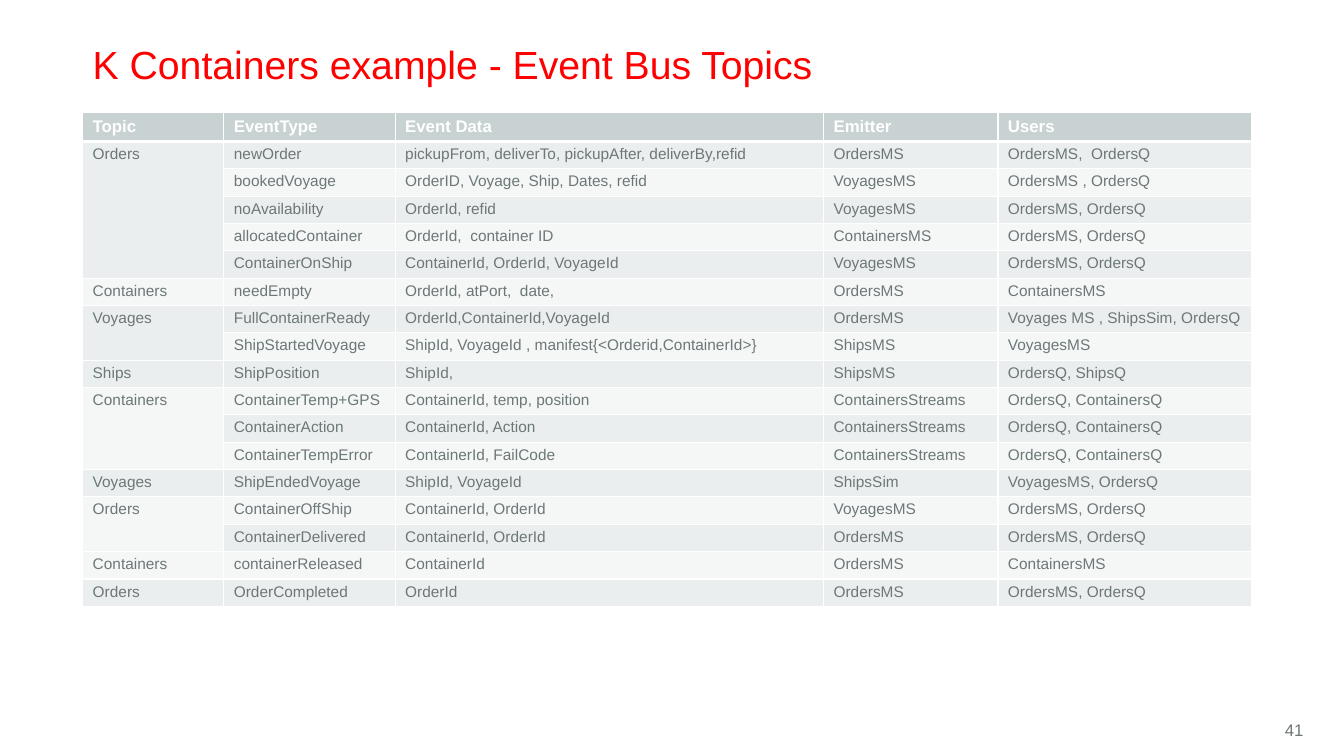
"""Build the event bus topics slide for the K Containers example."""
import pptx
import pptx.dml.color
import pptx.enum.text
import pptx.oxml
import pptx.oxml.ns
import pptx.util

Pt = pptx.util.Pt
ALIGN = pptx.enum.text.PP_ALIGN
ANCHOR = pptx.enum.text.MSO_ANCHOR

HEADINGS = ["Topic", "EventType", "Event Data", "Emitter", "Users"]
COLUMN_WIDTHS = [100.8, 122.4, 306, 124.56, 181.44]
TOPICS = [
    ("Orders", [
        ("newOrder", "pickupFrom, deliverTo, pickupAfter, deliverBy,refid", "OrdersMS", "OrdersMS,  OrdersQ"),
        ("bookedVoyage", "OrderID, Voyage, Ship, Dates, refid", "VoyagesMS", "OrdersMS , OrdersQ"),
        ("noAvailability", "OrderId, refid", "VoyagesMS", "OrdersMS, OrdersQ"),
        ("allocatedContainer", "OrderId,  container ID", "ContainersMS", "OrdersMS, OrdersQ"),
        ("ContainerOnShip", "ContainerId, OrderId, VoyageId", "VoyagesMS", "OrdersMS, OrdersQ"),
    ]),
    ("Containers", [("needEmpty", "OrderId, atPort,  date,", "OrdersMS", "ContainersMS")]),
    ("Voyages", [
        ("FullContainerReady", "OrderId,ContainerId,VoyageId", "OrdersMS", "Voyages MS , ShipsSim, OrdersQ"),
        ("ShipStartedVoyage", "ShipId, VoyageId , manifest{<Orderid,ContainerId>}", "ShipsMS", "VoyagesMS"),
    ]),
    ("Ships", [("ShipPosition", "ShipId,", "ShipsMS", "OrdersQ, ShipsQ")]),
    ("Containers", [
        ("ContainerTemp+GPS", "ContainerId, temp, position", "ContainersStreams", "OrdersQ, ContainersQ"),
        ("ContainerAction", "ContainerId, Action", "ContainersStreams", "OrdersQ, ContainersQ"),
        ("ContainerTempError", "ContainerId, FailCode", "ContainersStreams", "OrdersQ, ContainersQ"),
    ]),
    ("Voyages", [("ShipEndedVoyage", "ShipId, VoyageId", "ShipsSim", "VoyagesMS, OrdersQ")]),
    ("Orders", [
        ("ContainerOffShip", "ContainerId, OrderId", "VoyagesMS", "OrdersMS, OrdersQ"),
        ("ContainerDelivered", "ContainerId, OrderId", "OrdersMS", "OrdersMS, OrdersQ"),
    ]),
    ("Containers", [("containerReleased", "ContainerId", "OrdersMS", "ContainersMS")]),
    ("Orders", [("OrderCompleted", "OrderId", "OrdersMS", "OrdersMS, OrdersQ")]),
]


def color(value):
    return pptx.dml.color.RGBColor.from_string(value)


class TopicsPage:
    font = "Arial"
    red = "FF0000"
    gray = "6D7777"
    white = "FFFFFF"
    header_fill = "C8D2D2"
    band_fills = ["EBEEEE", "F5F7F7"]
    row_height = 19.55

    def __init__(self, deck):
        self.page = deck.slides.add_slide(deck.slide_layouts[6])

    def format_text(self, frame, size, tint, bold=False):
        for para in frame.paragraphs:
            for span in para.runs:
                span.font.name = self.font
                span.font.size = Pt(size)
                span.font.bold = bold
                span.font.color.rgb = color(tint)

    def text(self, words, bounds, size, tint, anchor, margins, align=ALIGN.LEFT, spacing=1.0):
        box = self.page.shapes.add_textbox(*map(Pt, bounds))
        frame = box.text_frame
        frame.word_wrap = True
        frame.vertical_anchor = anchor
        frame.margin_left, frame.margin_top, frame.margin_right, frame.margin_bottom = map(Pt, margins)
        frame.text = words
        frame.paragraphs[0].alignment = align
        frame.paragraphs[0].line_spacing = spacing
        self.format_text(frame, size, tint, bold=False)

    def borders(self, cell, top, bottom):
        properties = cell._tc.get_or_add_tcPr()
        widths = {"lnL": 1, "lnR": 1, "lnT": top, "lnB": bottom}
        for position, (side, width) in enumerate(widths.items()):
            line = pptx.oxml.parse_xml(
                f'<a:{side} {pptx.oxml.ns.nsdecls("a")} w="{Pt(width)}"><a:solidFill>'
                f'<a:srgbClr val="{self.white}"/></a:solidFill></a:{side}>')
            properties.insert(position, line)

    def cell(self, cell, words, row):
        header = row == 0
        cell.margin_top = cell.margin_bottom = Pt(3)
        cell.fill.solid()
        cell.fill.fore_color.rgb = color(self.header_fill if header else self.band_fills[(row - 1) % 2])
        self.borders(cell, 3 if row == 1 else 1, 3 if header else 1)
        cell.text_frame.text = words
        self.format_text(cell.text_frame, 12 if header else 11, self.white if header else self.gray, header)

    def topics_table(self, left, top):
        rows = [HEADINGS]
        merges = []
        for topic, events in TOPICS:
            first = len(rows)
            rows += [[topic if index == 0 else "", *event] for index, event in enumerate(events)]
            if len(events) > 1:
                merges.append((first, len(rows) - 1))
        frame = self.page.shapes.add_table(
            len(rows), len(HEADINGS), Pt(left), Pt(top),
            Pt(sum(COLUMN_WIDTHS)), Pt(self.row_height * len(rows)))
        table = frame.table
        for column, width in zip(table.columns, COLUMN_WIDTHS):
            column.width = Pt(width)
        for row, values in enumerate(rows):
            table.rows[row].height = Pt(self.row_height)
            for column, words in enumerate(values):
                self.cell(table.cell(row, column), words, row)
        for first, last in merges:
            table.cell(first, 0).merge(table.cell(last, 0))


def main():
    deck = pptx.Presentation()
    deck.slide_width = Pt(960)
    deck.slide_height = Pt(540)
    page = TopicsPage(deck)
    page.text("K Containers example - Event Bus Topics", (66.24, 28.8, 828, 33.84), 28,
              page.red, ANCHOR.BOTTOM, (0, 3.6, 7.2, 0), spacing=0.85)
    page.text("41", (896.4, 506.88, 41.76, 28.8), 12, page.gray, ANCHOR.MIDDLE,
              (7.2, 3.6, 7.2, 3.6), ALIGN.RIGHT)
    page.topics_table(59.04, 80.64)
    deck.save("out.pptx")


if __name__ == "__main__":
    main()
